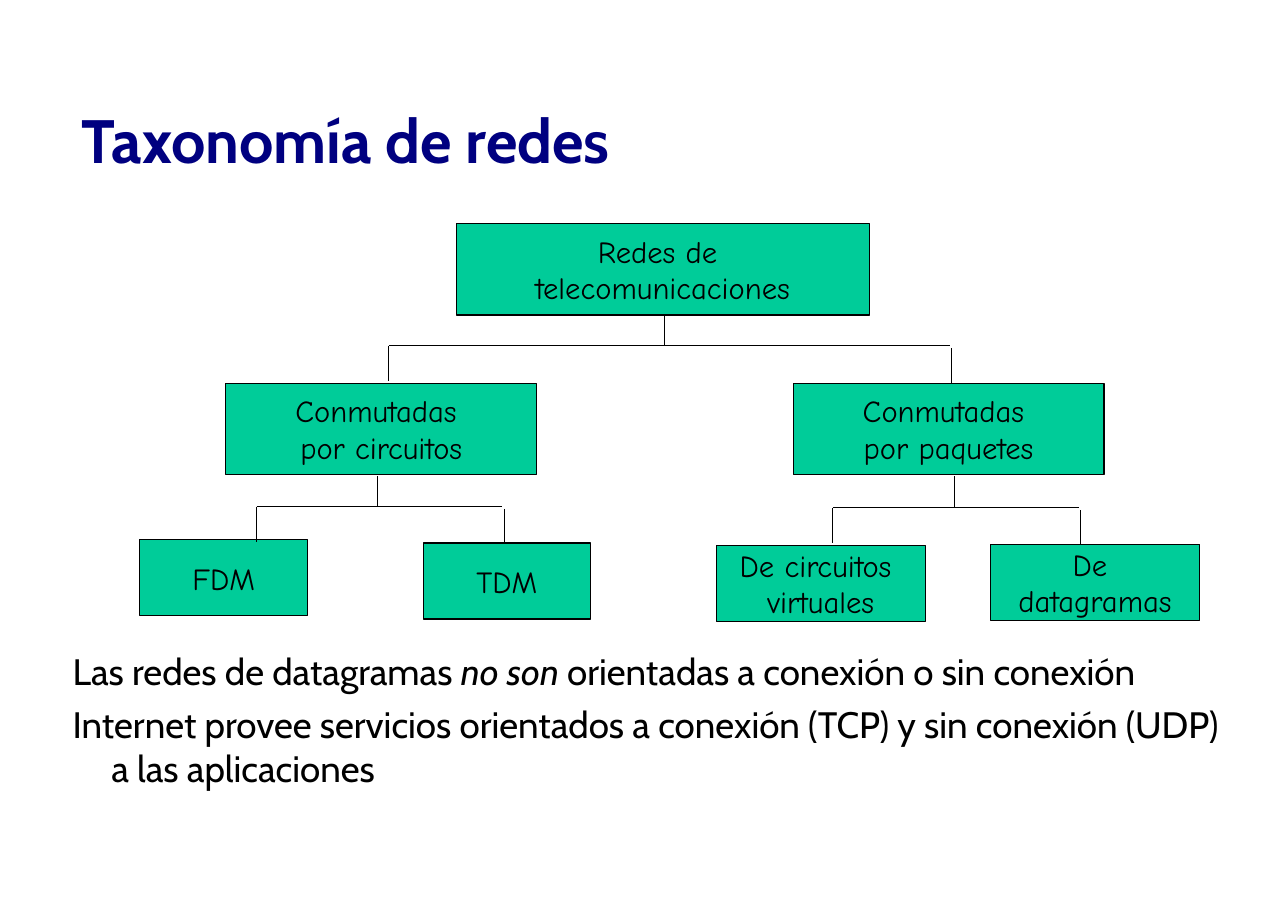
from lxml import etree
from pptx import Presentation
from pptx.dml.color import RGBColor
from pptx.enum.shapes import MSO_CONNECTOR, MSO_SHAPE
from pptx.enum.text import MSO_ANCHOR, PP_ALIGN
from pptx.oxml.ns import qn
from pptx.util import Inches, Pt

RECT = MSO_SHAPE.RECTANGLE
STRAIGHT = MSO_CONNECTOR.STRAIGHT
MIDDLE = MSO_ANCHOR.MIDDLE
CENTER = PP_ALIGN.CENTER

COLORS = {"title": "000080", "text": "000000", "line": "000000", "node": "00CC99"}

NODES = [
    (4.14, 2.03, 3.75, 0.83, ["Redes de ", "telecomunicaciones"]),
    (2.05, 3.48, 2.82, 0.83, ["Conmutadas ", "por circuitos"]),
    (7.2, 3.48, 2.82, 0.83, ["Conmutadas ", "por paquetes"]),
    (1.27, 4.9, 1.52, 0.69, ["FDM"]),
    (3.84, 4.93, 1.52, 0.69, ["TDM"]),
    (6.5, 4.95, 1.9, 0.69, ["De circuitos ", "virtuales"]),
    (8.99, 4.94, 1.9, 0.69, ["De ", "datagramas"]),
]

FORKS = [
    (3.53, 6.03, 8.64, 2.86, 3.14),
    (2.33, 3.43, 4.58, 4.32, 4.6),
    (7.56, 8.66, 9.81, 4.32, 4.61),
]

NOTES = [
    [
        ("Las redes de datagramas ", False),
        ("no son", True),
        (" orientadas a conexión o sin conexión", False),
    ],
    [
        (
            "Internet provee servicios orientados a conexión (TCP) "
            "y sin conexión (UDP) a las aplicaciones",
            False,
        )
    ],
]


def color(key):
    return RGBColor.from_string(COLORS[key])


def add_run(para, text, size, face, key="text", bold=False, italic=False):
    run = para.add_run()
    run.text = text
    font = run.font
    font.size = Pt(size)
    font.name = face
    font.bold = bold
    font.italic = italic
    font.color.rgb = color(key)


def add_para(frame, index):
    return frame.add_paragraph() if index else frame.paragraphs[0]


def add_box(slide, left, top, width, height):
    box = slide.shapes.add_textbox(*map(Inches, (left, top, width, height)))
    box.text_frame.word_wrap = True
    return box.text_frame


def add_title(slide):
    frame = add_box(slide, 0.64, 0.52, 10.5, 1.48)
    frame.vertical_anchor = MIDDLE
    add_run(frame.paragraphs[0], "Taxonomía de redes", 40, "Cabin", "title", bold=True)


def add_node(slide, left, top, width, height, lines):
    node = slide.shapes.add_shape(RECT, *map(Inches, (left, top, width, height)))
    node.shadow.inherit = False
    node.fill.solid()
    node.fill.fore_color.rgb = color("node")
    node.line.color.rgb = color("line")
    node.line.width = Pt(0.75)
    frame = node.text_frame
    frame.word_wrap = False
    frame.vertical_anchor = MIDDLE
    for index, text in enumerate(lines):
        para = add_para(frame, index)
        para.alignment = CENTER
        add_run(para, text, 20, "Comic Neue")


def add_line(slide, *ends):
    line = slide.shapes.add_connector(STRAIGHT, *map(Inches, ends))
    line.line.color.rgb = color("line")
    line.line.width = Pt(0.75)
    etree.SubElement(line._element.spPr, qn("a:effectLst"))


def add_fork(slide, left, stem, right, top, bar):
    add_line(slide, left, bar, right - 0.02, bar)
    add_line(slide, right, bar + 0.02, right, bar + 0.34)
    add_line(slide, left, bar, left, bar + 0.32)
    add_line(slide, stem, top, stem, bar)


def add_notes(slide):
    frame = add_box(slide, 0.64, 5.89, 10.5, 1.75)
    frame.margin_left = frame.margin_right = 0
    frame.margin_top = frame.margin_bottom = 0
    for index, runs in enumerate(NOTES):
        para = add_para(frame, index)
        para.space_before = Pt(6)
        props = para._p.get_or_add_pPr()
        props.set("marL", str(Inches(0.37)))
        props.set("indent", str(Inches(-0.35)))
        for text, italic in runs:
            add_run(para, text, 24, "Cabin", italic=italic)


def main():
    deck = Presentation()
    deck.slide_width = Inches(11.69)
    deck.slide_height = Inches(8.27)
    slide = deck.slides.add_slide(deck.slide_layouts[6])
    add_title(slide)
    for node in NODES:
        add_node(slide, *node)
    for fork in FORKS:
        add_fork(slide, *fork)
    add_notes(slide)
    deck.save("out.pptx")


if __name__ == "__main__":
    main()
